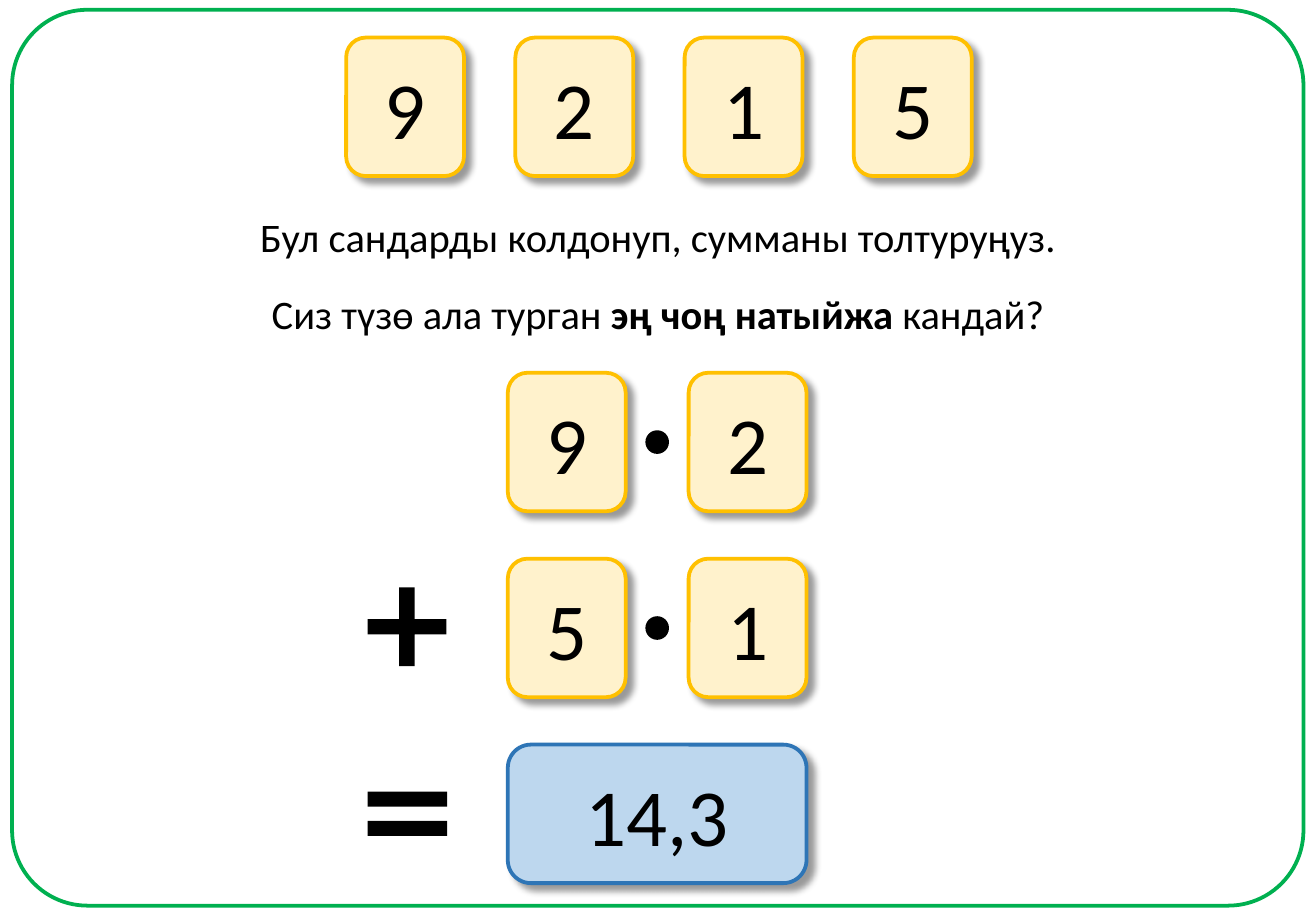
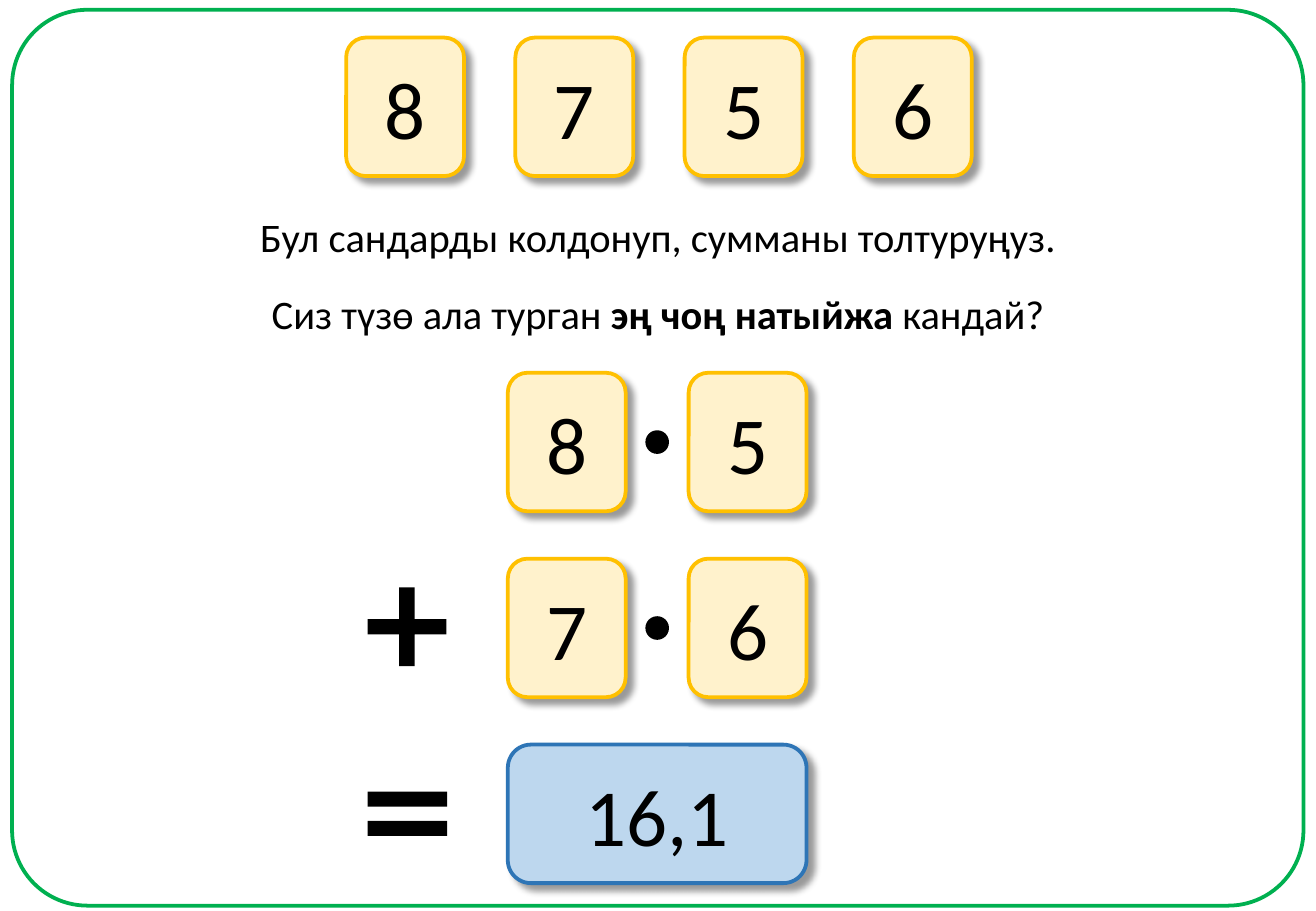
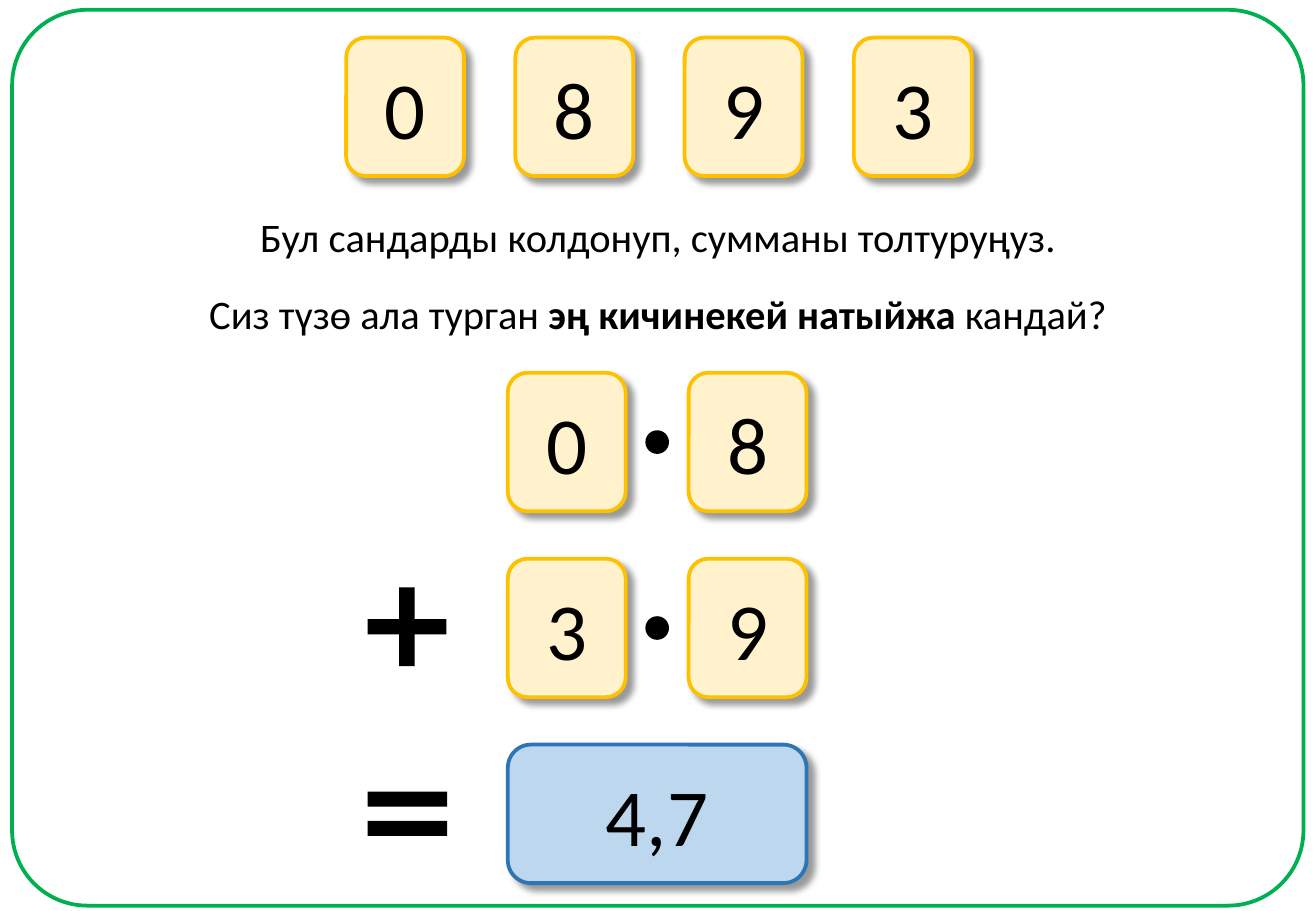
from dataclasses import dataclass

from lxml import etree
from pptx import Presentation
from pptx.dml.color import RGBColor
from pptx.enum.shapes import MSO_SHAPE
from pptx.enum.text import MSO_ANCHOR, MSO_AUTO_SIZE, PP_ALIGN
from pptx.oxml.ns import qn
from pptx.util import Pt

ROUND = MSO_SHAPE.ROUNDED_RECTANGLE
OVAL = MSO_SHAPE.OVAL
PLUS = MSO_SHAPE.MATH_PLUS
EQUAL = MSO_SHAPE.MATH_EQUAL
MIDDLE = MSO_ANCHOR.MIDDLE
CENTER = PP_ALIGN.CENTER
GROW = MSO_AUTO_SIZE.SHAPE_TO_FIT_TEXT


@dataclass(frozen=True)
class Theme:
    font: str = "Calibri"
    ink: str = "000000"
    frame: str = "00B050"
    card: str = "FFF2CC"
    edge: str = "FFC000"
    total: str = "BDD7EE"
    rim: str = "2E75B6"
    body: int = 24
    digit: int = 48
    stroke: float = 2.25


THEME = Theme()
WIDTH, HEIGHT = 780, 540
CARD_W, CARD_H = 69.84, 82.1
DECK_X, DECK_Y, DECK_STEP = 205.2, 22.3, 100.3
SUM_X, SUM_Y = 301, 221
COL_STEP, ROW_STEP = 107.2, 110.2
SUM_W = COL_STEP + CARD_W
DOT = 13
SIGN_X = 209.5
SHADE = {"blurRad": Pt(4), "dist": Pt(5), "dir": 45 * 60000, "algn": "tl"}
TASK = "Бул сандарды колдонуп, сумманы толтуруңуз."
MOST = "эң чоң натыйжа "
LEAST = "эң кичинекей натыйжа "

TASKS = [
    {"deck": "9215", "goal": MOST, "span": 476.6, "rows": ["92", "51"], "total": "14,3"},
    {"deck": "8756", "goal": MOST, "span": 476.6, "rows": ["85", "76"], "total": "16,1"},
    {"deck": "0893", "goal": LEAST, "span": 551.5, "rows": ["08", "39"], "total": "4,7"},
]


def set_all(item, form):
    for key, value in form.items():
        setattr(item, key, value)


def add_run(para, text, size, bold=False):
    run = para.add_run()
    run.text = text
    set_all(run.font, {"name": THEME.font, "size": Pt(size), "bold": bold})
    run.font.color.rgb = RGBColor.from_string(THEME.ink)


def add_form(shapes, kind, box, fill=None, line=None, width=THEME.stroke, adjust=()):
    form = shapes.add_shape(kind, *map(Pt, box))
    form.shadow.inherit = False
    if fill:
        form.fill.solid()
        form.fill.fore_color.rgb = RGBColor.from_string(fill)
    else:
        form.fill.background()
    if line:
        form.line.color.rgb = RGBColor.from_string(line)
        form.line.width = Pt(width)
    else:
        form.line.fill.background()
    for index, value in enumerate(adjust):
        form.adjustments[index] = value
    return form


def add_shade(form):
    effects = form._element.spPr.find(qn("a:effectLst"))
    outer = etree.SubElement(effects, qn("a:outerShdw"))
    for key, value in SHADE.items():
        outer.set(key, str(value))
    color = etree.SubElement(outer, qn("a:srgbClr"), val=THEME.ink)
    etree.SubElement(color, qn("a:alpha"), val="40000")


def add_card(shapes, left, top, text, width=CARD_W, fill=THEME.card, line=THEME.edge):
    card = add_form(shapes, ROUND, (left, top, width, CARD_H), fill, line)
    add_shade(card)
    frame = card.text_frame
    set_all(frame, {"vertical_anchor": MIDDLE, "word_wrap": True})
    para = frame.paragraphs[0]
    para.alignment = CENTER
    add_run(para, text, THEME.digit)


def add_line(shapes, top, width, runs):
    box = shapes.add_textbox(Pt((WIDTH - width) / 2), Pt(top), Pt(width), Pt(36.4))
    frame = box.text_frame
    set_all(frame, {"word_wrap": False, "auto_size": GROW})
    para = frame.paragraphs[0]
    para.alignment = CENTER
    for text, bold in runs:
        add_run(para, text, THEME.body, bold)


def add_deck(shapes, digits):
    group = shapes.add_group_shape()
    for index, digit in enumerate(digits):
        add_card(group.shapes, DECK_X + index * DECK_STEP, DECK_Y, digit)


def add_sum(shapes, rows, total):
    add_form(shapes, PLUS, (SIGN_X, 339.8, 63.4, 63.4), THEME.ink, adjust=[0.144])
    for row, digits in enumerate(rows):
        top = SUM_Y + row * ROW_STEP
        for col, digit in enumerate(digits):
            add_card(shapes, SUM_X + col * COL_STEP, top, digit)
        dot = (SUM_X + (SUM_W - DOT) / 2, top + (CARD_H - DOT) / 2, DOT, DOT)
        add_form(shapes, OVAL, dot, THEME.ink, THEME.ink, 1)
    add_card(shapes, SUM_X, SUM_Y + len(rows) * ROW_STEP, total, SUM_W, THEME.total, THEME.rim)
    add_form(shapes, EQUAL, (SIGN_X, 446.4, 64, 72), THEME.ink, adjust=[0.123, 0.118])


def add_slide(deck, task):
    shapes = deck.slides.add_slide(deck.slide_layouts[6]).shapes
    add_form(shapes, ROUND, (7.2, 5.8, 765.4, 531), line=THEME.frame, adjust=[0.084])
    add_line(shapes, 122.4, 491, [(TASK, False)])
    goal = [("Сиз түзө ала турган ", False), (task["goal"], True), ("кандай?", False)]
    add_line(shapes, 167.8, task["span"], goal)
    add_deck(shapes, task["deck"])
    add_sum(shapes, task["rows"], task["total"])


def main():
    deck = Presentation()
    set_all(deck, {"slide_width": Pt(WIDTH), "slide_height": Pt(HEIGHT)})
    for task in TASKS:
        add_slide(deck, task)
    deck.save("out.pptx")


if __name__ == "__main__":
    main()
